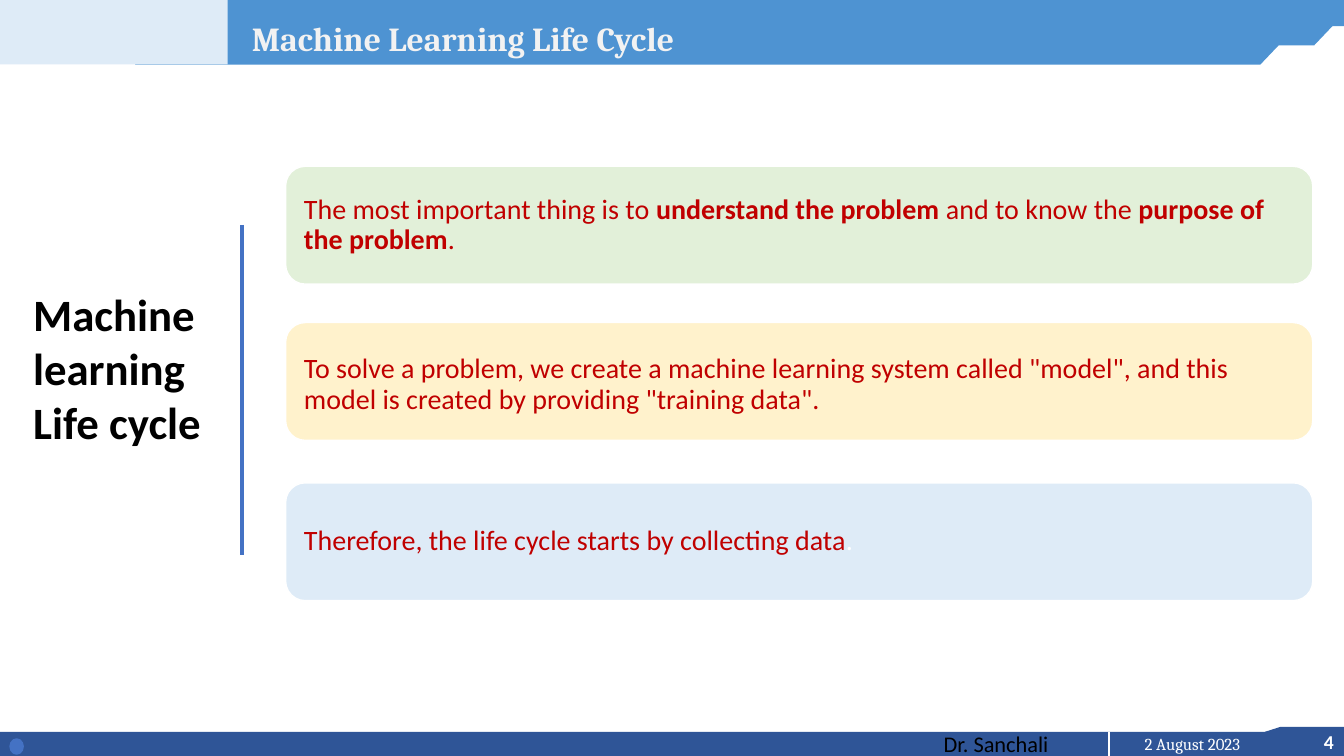
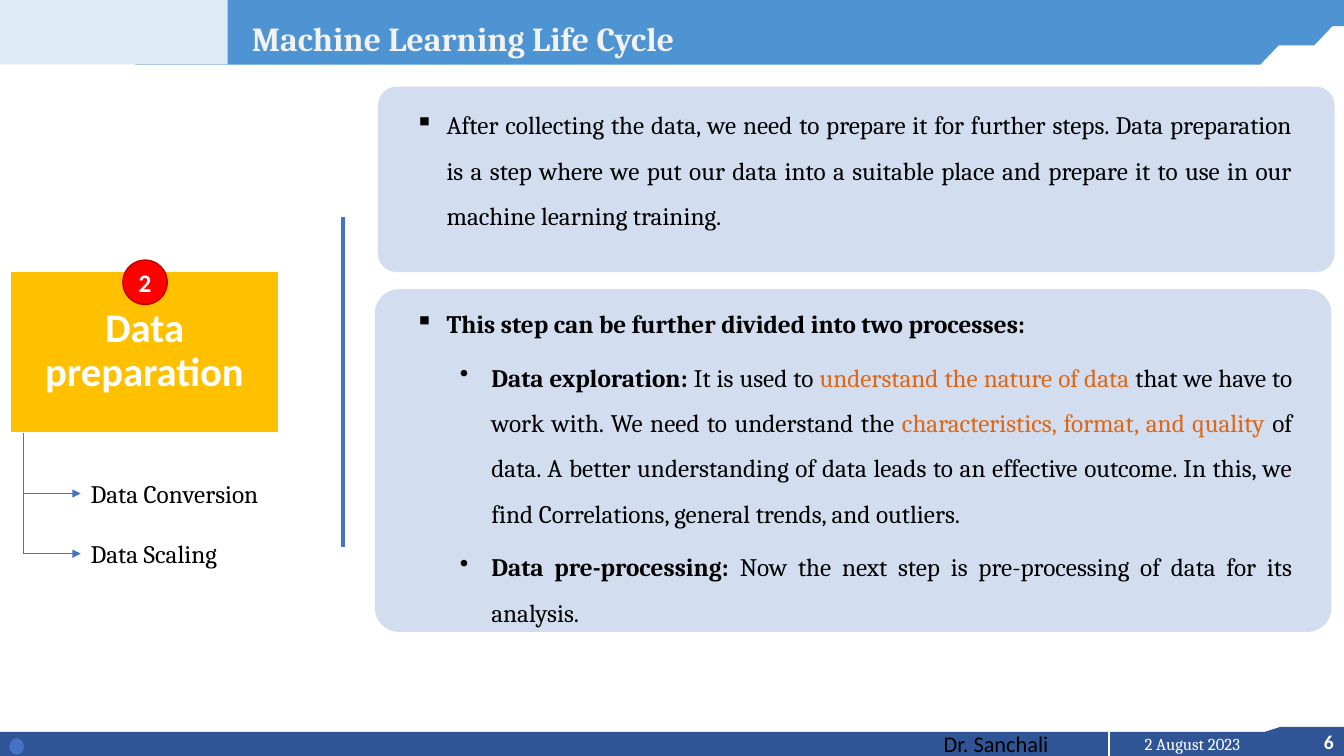
"""Build two slides on the machine learning life cycle."""
import dataclasses

import pptx
import pptx.dml.color
import pptx.enum.shapes
import pptx.enum.text
import pptx.oxml.ns
import pptx.util
from lxml import etree

Pt = pptx.util.Pt
Kind = pptx.enum.shapes.MSO_SHAPE
Align = pptx.enum.text.PP_ALIGN
Anchor = pptx.enum.text.MSO_ANCHOR
qn = pptx.oxml.ns.qn


@dataclasses.dataclass(frozen=True)
class Theme:
    """Hold the colours, fonts and type sizes of the deck."""

    sans: str = "Calibri"
    serif: str = "Cambria"
    band: str = "4E93D2"
    foot: str = "2F5597"
    pale: str = "DEEBF7"
    line: str = "4472C4"
    panel: str = "D2DEEF"
    green: str = "E2F0D9"
    cream: str = "FFF2CC"
    gold: str = "FFC000"
    red: str = "FF0000"
    dark: str = "C00000"
    rust: str = "DF6613"
    black: str = "000000"
    white: str = "FFFFFF"
    title: str = "F2F2F2"
    huge: int = 32
    step: int = 29
    head: int = 24
    card: int = 20
    body: int = 18
    name: int = 16
    page: int = 14
    date: int = 12


THEME = Theme()


@dataclasses.dataclass(frozen=True)
class Bit:
    """Hold one run, with what differs from its look."""

    text: str
    bold: bool = None
    color: str = None


@dataclasses.dataclass(frozen=True)
class Look:
    """Hold the type and paragraph style of a text."""

    font: str
    size: int
    color: str
    bold: bool = False
    align: Align = Align.LEFT
    space: float = None
    after: float = None


def tint(value):
    """Turn a hex string into a colour."""
    return pptx.dml.color.RGBColor.from_string(value)


def place(box):
    """Turn a box of numbers into lengths."""
    return [Pt(side) for side in box]


def shape(slide, kind, box, fill, edge=None, adj=None):
    """Add a plain filled shape."""
    item = slide.shapes.add_shape(kind, *place(box))
    item.shadow.inherit = False
    item.fill.solid()
    item.fill.fore_color.rgb = tint(fill)
    if edge:
        item.line.color.rgb = tint(edge)
        item.line.width = Pt(1)
    else:
        item.line.fill.background()
    if adj is not None:
        item.adjustments[0] = adj
    return item


def write(item, look, paras, anchor=Anchor.MIDDLE, pads=(7.2, 3.6, 7.2, 3.6)):
    """Fill a shape with paragraphs, run by run, and return them."""
    frame = item.text_frame
    frame.word_wrap = True
    frame.vertical_anchor = anchor
    (frame.margin_left, frame.margin_top,
     frame.margin_right, frame.margin_bottom) = place(pads)
    done = []
    for bits in paras:
        para = frame.add_paragraph() if done else frame.paragraphs[0]
        para.alignment = look.align
        if look.space:
            para.line_spacing = look.space
        if look.after:
            para.space_after = Pt(look.after)
        for bit in bits:
            run = para.add_run()
            run.text = bit.text
            run.font.name = look.font
            run.font.size = Pt(look.size)
            run.font.bold = look.bold if bit.bold is None else bit.bold
            run.font.color.rgb = tint(bit.color or look.color)
        done.append(para)
    return done


def label(slide, box, look, paras, anchor=Anchor.TOP):
    """Add a text box."""
    item = slide.shapes.add_textbox(*place(box))
    write(item, look, paras, anchor)
    return item


def points(slide, box, look, items):
    """Add a text box of bulleted paragraphs on two levels."""
    item = slide.shapes.add_textbox(*place(box))
    paras = write(item, look, [bits for _, bits in items], Anchor.TOP)
    for para, (level, _) in zip(paras, items):
        props = para._p.get_or_add_pPr()
        props.set("marL", str(Pt(22.5 + 32 * level)))
        props.set("indent", str(Pt(-22.5)))
        mark = etree.SubElement(props, qn("a:buChar"))
        mark.set("char", "▪•"[level])


def rule(slide, start, end, color, width, goal=None):
    """Add a straight line, with an arrowhead if it has a goal."""
    kind = pptx.enum.shapes.MSO_CONNECTOR.STRAIGHT
    item = slide.shapes.add_connector(kind, *place(start + end))
    item.line.color.rgb = tint(color)
    item.line.width = Pt(width)
    props = item._element.spPr
    if goal is not None:
        item.end_connect(goal, 1)
        tail = etree.SubElement(props.find(qn("a:ln")), qn("a:tailEnd"))
        tail.set("type", "triangle")
    etree.SubElement(props, qn("a:effectLst"))


def divide(slide, left, top):
    """Add the thick upright line beside the content."""
    rule(slide, (left, top), (left, top + 236), THEME.line, 3)


def frame(deck, number):
    """Add a slide with the shared bands, title and footer."""
    slide = deck.slides.add_slide(deck.slide_layouts[6])
    shape(slide, Kind.FLOWCHART_CARD, (903.6, 519.1, 56.4, 18), THEME.foot)
    foot = shape(slide, Kind.RECTANGLE, (0, 522.7, 960, 17.3), THEME.foot)
    write(foot, Look(THEME.sans, THEME.name, THEME.black),
          [[Bit("Dr. Sanchali")]], pads=(674, 0, 0, 0))
    label(slide, (895, 517.7, 64.8, 24.5),
          Look(THEME.sans, THEME.page, THEME.white, True, Align.RIGHT),
          [[Bit(str(number))]])
    shape(slide, Kind.RECTANGLE, (131, 0, 829, 18.7), THEME.band)
    for box in ((139, 7.9, 823, 24.5), (96.5, 25.9, 823, 20.2)):
        shape(slide, Kind.PARALLELOGRAM, box, THEME.band, adj=0.95)
    shape(slide, Kind.RECTANGLE, (0, 0, 162.7, 46.1), THEME.pale)
    label(slide, (792, 520.6, 119.5, 21.6),
          Look(THEME.serif, THEME.date, THEME.white, align=Align.CENTER),
          [[Bit("2 August 2023")]])
    rule(slide, (792, 522.7), (792, 540), THEME.white, 1.5)
    shape(slide, Kind.FLOWCHART_CONNECTOR, (7.2, 527.8, 9.4, 10.8),
          THEME.line, THEME.line)
    label(slide, (172.8, 9.4, 757.4, 36),
          Look(THEME.serif, THEME.head, THEME.title, True),
          [[Bit("Machine Learning Life Cycle")]])
    return slide


def cycle(deck):
    """Build the slide of three statement cards."""
    slide = frame(deck, 4)
    look = Look(THEME.sans, THEME.card, THEME.dark, space=0.9)
    cards = (
        (118.8, THEME.green, 0, [
            Bit("The most important thing is to "),
            Bit("understand the problem ", True),
            Bit("and to know the "),
            Bit("purpose of the problem", True),
            Bit("."),
        ]),
        (230.4, THEME.cream, 5, [
            Bit('To solve a problem, we create a machine learning system '
                'called "model", and this model is created by providing '
                '"training data".'),
        ]),
        (344.9, THEME.pale, 0, [
            Bit("Therefore, the life cycle starts by collecting data"),
            Bit(".", color=THEME.white),
        ]),
    )
    for top, fill, drop, bits in cards:
        card = shape(slide, Kind.ROUNDED_RECTANGLE, (204, top, 733.7, 84.2),
                     fill, THEME.white)
        write(card, look, [bits], pads=(9, drop, 9, 0))
    label(slide, (16.6, 42.5, 177, 440),
          Look(THEME.sans, THEME.huge, THEME.black, True),
          [[Bit("Machine learning")], [Bit("Life cycle")]], Anchor.MIDDLE)
    divide(slide, 172.8, 160.6)


def prepare(deck):
    """Build the slide on data preparation."""
    slide = frame(deck, 6)
    for box, adj in (((267.8, 206.6, 683.3, 244.8), 0.07),
                     ((270, 61.9, 683.3, 132.5), 0.1)):
        shape(slide, Kind.ROUNDED_RECTANGLE, box, THEME.panel, adj=adj)

    step = shape(slide, Kind.RECTANGLE, (7.2, 193.7, 192.2, 115.2),
                 THEME.gold, THEME.white)
    write(step, Look(THEME.sans, THEME.step, THEME.white, True,
                     Align.CENTER, 0.9), [[Bit("Data preparation")]])
    badge = shape(slide, Kind.OVAL, (87.8, 185.8, 31.7, 31.7),
                  THEME.red, THEME.dark)
    write(badge, Look(THEME.sans, THEME.body, THEME.white, True,
                      Align.CENTER), [[Bit("2")]], pads=(0, 0, 0, 0))

    left, last = 16.6, 395.5
    rule(slide, (left, 309), (left, last), THEME.line, 0.5)
    plain = Look(THEME.serif, THEME.body, THEME.black)
    for mid, text in ((352.5, "Data Conversion"), (last, "Data Scaling")):
        goal = label(slide, (57.6, mid - 15, 142.6, 30), plain,
                     [[Bit(text)]], Anchor.MIDDLE)
        rule(slide, (left, mid), (57.6, mid), THEME.line, 0.5, goal)
    divide(slide, 244.8, 154.8)

    look = Look(THEME.serif, THEME.body, THEME.black,
                align=Align.JUSTIFY, space=1.5, after=6)
    points(slide, (289.4, 64.1, 640.8, 128), look, [
        (0, [Bit("After collecting the data, we need to prepare it for "
                 "further steps. Data preparation is a step where we put our "
                 "data into a suitable place and prepare it to use in our "
                 "machine learning training.")]),
    ])
    points(slide, (289.4, 205.7, 640.8, 246), look, [
        (0, [Bit("This step can be further divided into two processes:",
                 True)]),
        (1, [
            Bit("Data exploration: ", True),
            Bit("It is used to "),
            Bit("understand the nature of data ", color=THEME.rust),
            Bit("that we have to work with. We need to understand the "),
            Bit("characteristics, format, and quality", color=THEME.rust),
            Bit(" of data. A better understanding of data leads to an "
                "effective outcome. In this, we find Correlations, general "
                "trends, and outliers."),
        ]),
        (1, [
            Bit("Data pre-processing: ", True),
            Bit("Now the next step is pre-processing of data for its "
                "analysis."),
        ]),
    ])


def main():
    """Build and save the deck."""
    deck = pptx.Presentation()
    deck.slide_width, deck.slide_height = Pt(960), Pt(540)
    cycle(deck)
    prepare(deck)
    deck.save("out.pptx")


if __name__ == "__main__":
    main()
